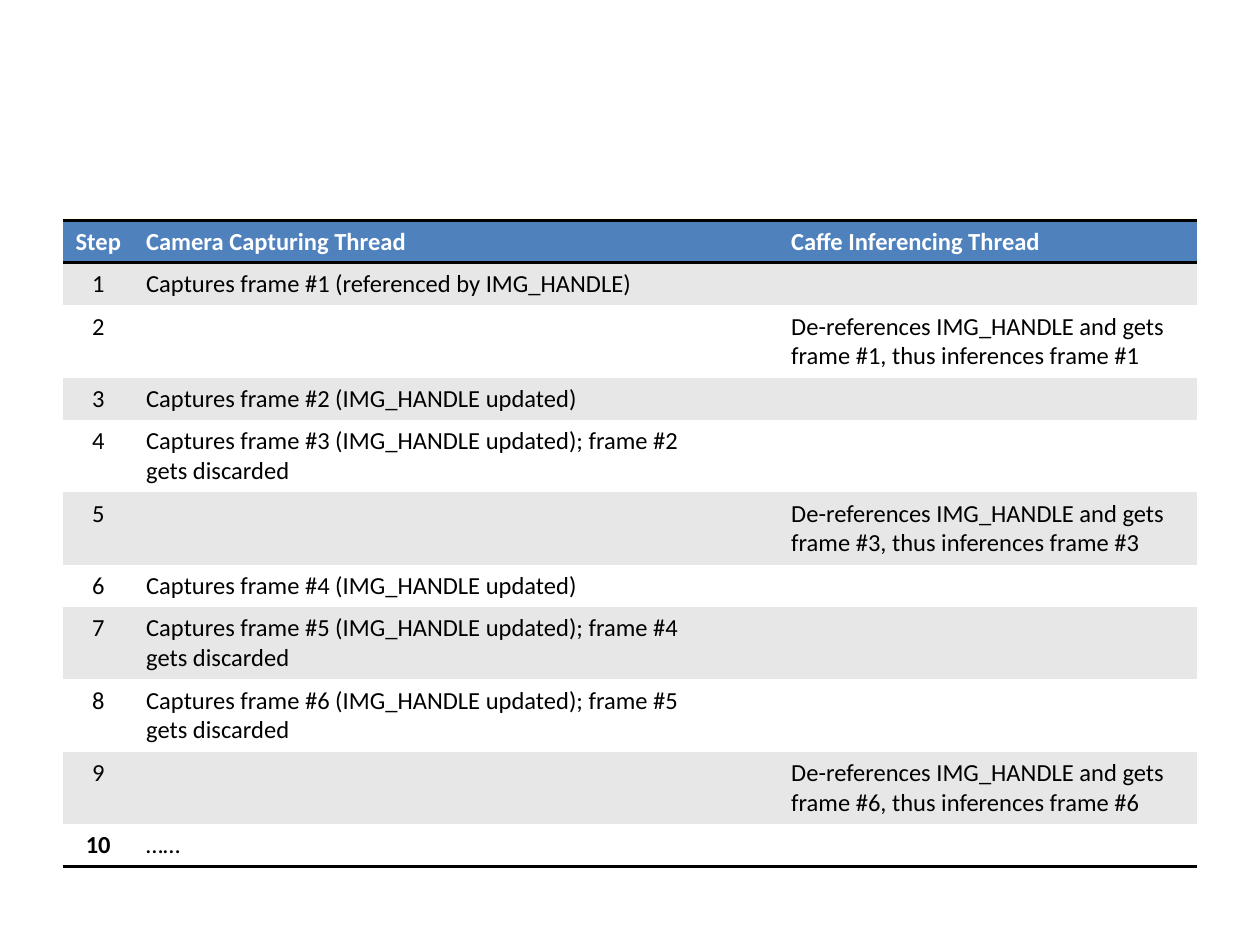
from lxml.etree import SubElement
from pptx import Presentation
from pptx.dml.color import RGBColor
from pptx.enum.text import PP_ALIGN as Align
from pptx.oxml.ns import qn
from pptx.util import Inches, Pt

# Content: step, camera thread, spacer, inferencing thread
HEADER = ("Step", "Camera Capturing Thread", "", "Caffe Inferencing Thread")


def captures(frame, note="(IMG_HANDLE updated)"):
    return f"Captures frame #{frame} {note}", ""


def discards(frame):
    return captures(frame, f"(IMG_HANDLE updated); frame #{frame - 1} gets discarded")


def inferences(frame):
    return "", f"De-references IMG_HANDLE and gets frame #{frame}, thus inferences frame #{frame}"


STEPS = [
    captures(1, "(referenced by IMG_HANDLE)"),
    inferences(1),
    captures(2),
    discards(3),
    inferences(3),
    captures(4),
    discards(5),
    discards(6),
    inferences(6),
    ("……", ""),
]
ROWS = [HEADER] + [(str(number), camera, "", inference)
                   for number, (camera, inference) in enumerate(STEPS, 1)]

COLUMN_WIDTHS = (0.56, 4.49, 0.63, 3.32)
ONE_LINE, TWO_LINES = 0.33, 0.57
WRAP_LENGTH = 50
BLUE, GREY, WHITE, BLACK = "4F81BD", "E7E7E7", "FFFFFF", "000000"
NO_STYLE = "{2D5ABB26-0587-4C30-8999-92F81FD0307C}"


def color(value):
    return RGBColor.from_string(value)


def add_rule(cell, tag):
    """Draw a 2 pt black border; borders must precede the fill."""
    props = cell._tc.get_or_add_tcPr()
    line = SubElement(props, qn(tag), w=str(Pt(2)))
    fill = SubElement(line, qn("a:solidFill"))
    SubElement(fill, qn("a:srgbClr"), val=BLACK)


def write(cell, text, ink, bold, align):
    para = cell.text_frame.paragraphs[0]
    para.alignment = align
    font = para.font
    if text:
        para.text = text
    else:
        # An empty cell takes its line height from the end mark
        para._p.get_or_add_endParaRPr().set("sz", "1400")
    font.name, font.size, font.bold = "Calibri", Pt(14), bold
    font.color.rgb = color(ink)


deck = Presentation()
deck.slide_width, deck.slide_height = Inches(10), Inches(7.5)
page = deck.slides.add_slide(deck.slide_layouts[6])

# Table grid
heights = [TWO_LINES if max(map(len, row)) > WRAP_LENGTH else ONE_LINE for row in ROWS]
frame = page.shapes.add_table(
    len(ROWS), len(COLUMN_WIDTHS), Inches(0.5), Inches(1.75),
    Inches(sum(COLUMN_WIDTHS)), Inches(sum(heights)))
table = frame.table
table.horz_banding = False
table._tbl.tblPr.find(qn("a:tableStyleId")).text = NO_STYLE
for column, width in zip(table.columns, COLUMN_WIDTHS):
    column.width = Inches(width)

# Cells: blue header, then grey and white bands
last = len(ROWS) - 1
for r, row in enumerate(ROWS):
    table.rows[r].height = Inches(heights[r])
    is_header = r == 0
    for c, text in enumerate(row):
        cell = table.cell(r, c)
        if is_header:
            add_rule(cell, "a:lnT")
        if r in (0, last):
            add_rule(cell, "a:lnB")
        cell.fill.solid()
        cell.fill.fore_color.rgb = color(BLUE if is_header else GREY if r % 2 else WHITE)
        write(cell, text,
              ink=WHITE if is_header else BLACK,
              bold=is_header or (r == last and c == 0),
              align=Align.CENTER if c == 0 and not is_header else Align.LEFT)

deck.save("out.pptx")
